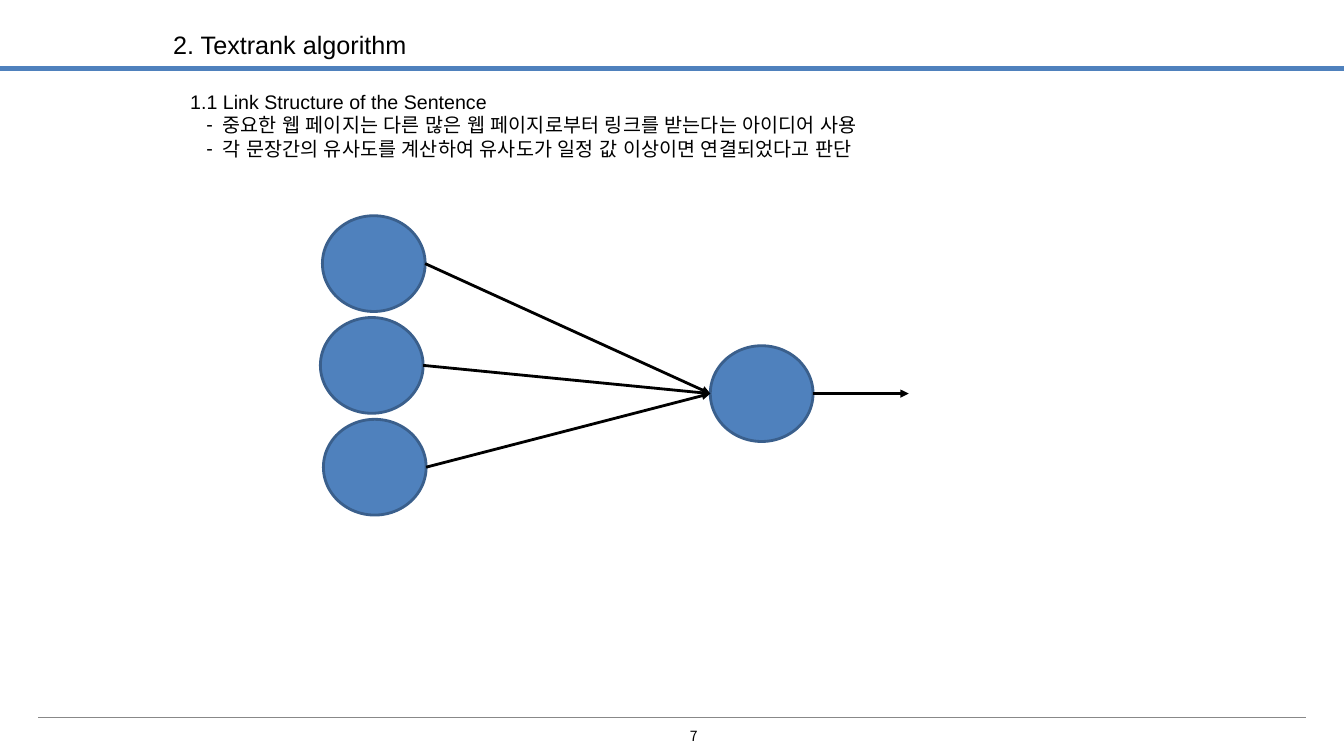
from lxml import etree
from pptx import Presentation
from pptx.dml.color import RGBColor
from pptx.enum.shapes import MSO_CONNECTOR, MSO_SHAPE
from pptx.enum.text import MSO_ANCHOR, PP_ALIGN
from pptx.oxml.ns import qn
from pptx.util import Inches, Pt

STRAIGHT = MSO_CONNECTOR.STRAIGHT
OVAL = MSO_SHAPE.OVAL
CENTER = PP_ALIGN.CENTER
MIDDLE = MSO_ANCHOR.MIDDLE

BLUE, DARK_BLUE, GRAY, BLACK = "4F81BD", "3A5F8C", "888888", "000000"
LATIN, KOREAN = "Arial", "Noto Sans CJK KR"

TITLE = "2. Textrank algorithm"
HEADING = "1.1 Link Structure of the Sentence"
POINTS = [
    "중요한 웹 페이지는 다른 많은 웹 페이지로부터 링크를 받는다는 아이디어 사용",
    "각 문장간의 유사도를 계산하여 유사도가 일정 값 이상이면 연결되었다고 판단",
]
PAGE = "7"

NODE_W, NODE_H = 1.02, 0.95
SOURCES = [(3.2, 2.14), (3.18, 3.15), (3.21, 4.16)]
TARGET = (7.05, 3.43)
OUT_LENGTH = 0.95


def color(value):
    return RGBColor.from_string(value)


def add_line(start, end, line_color, width, arrow=False):
    line = slide.shapes.add_connector(STRAIGHT, *map(Inches, start + end))
    line.line.color.rgb = color(line_color)
    line.line.width = Pt(width)
    if arrow:
        ln = line.line._get_or_add_ln()
        etree.SubElement(ln, qn("a:tailEnd"), type="triangle")
    etree.SubElement(line._element.spPr, qn("a:effectLst"))


def add_text(box, paragraphs, size, font=LATIN):
    sp = slide.shapes.add_textbox(*map(Inches, box))
    tf = sp.text_frame
    tf.word_wrap = True
    tf.text = "\n".join(paragraphs)
    for p in tf.paragraphs:
        for r in p.runs:
            r.font.size = Pt(size)
            r.font.color.rgb = color(BLACK)
            r.font.name = font
            etree.SubElement(r.font._element, qn("a:ea"), typeface=font)
    return tf


def add_dash(p):
    """Give a paragraph a hanging dash."""
    pPr = p._p.get_or_add_pPr()
    pPr.set("marL", str(Inches(0.32)))
    pPr.set("indent", str(Inches(-0.16)))
    etree.SubElement(pPr, qn("a:buFont"), typeface=LATIN)
    etree.SubElement(pPr, qn("a:buChar"), char="-")


def add_node(left, top):
    sp = slide.shapes.add_shape(OVAL, *map(Inches, (left, top, NODE_W, NODE_H)))
    sp.shadow.inherit = False
    sp.fill.solid()
    sp.fill.fore_color.rgb = color(BLUE)
    sp.line.color.rgb = color(DARK_BLUE)
    sp.line.width = Pt(2)


def left_point(node):
    return node[0], node[1] + NODE_H / 2


def right_point(node):
    return node[0] + NODE_W, node[1] + NODE_H / 2


prs = Presentation()
prs.slide_width, prs.slide_height = Inches(13.34), Inches(7.5)
slide = prs.slides.add_slide(prs.slide_layouts[6])

add_line((0, 0.68), (13.34, 0.68), BLUE, 3.25)
add_line((0.38, 7.12), (12.96, 7.12), GRAY, 0.75)

page = add_text((5.33, 7.19, 3.11, 0.23), [PAGE], 10, KOREAN)
page.vertical_anchor = MIDDLE
page.paragraphs[0].alignment = CENTER

add_text((1.62, 0.24, 3.71, 0.4), [TITLE], 18)
body = add_text((1.79, 0.84, 11.04, 0.81), [HEADING] + POINTS, 14)
for p in body.paragraphs[1:]:
    add_dash(p)

for node in SOURCES + [TARGET]:
    add_node(*node)
for node in SOURCES:
    add_line(right_point(node), left_point(TARGET), BLACK, 2, arrow=True)
out_x, out_y = right_point(TARGET)
add_line((out_x, out_y), (out_x + OUT_LENGTH, out_y), BLACK, 2, arrow=True)

prs.save("out.pptx")
